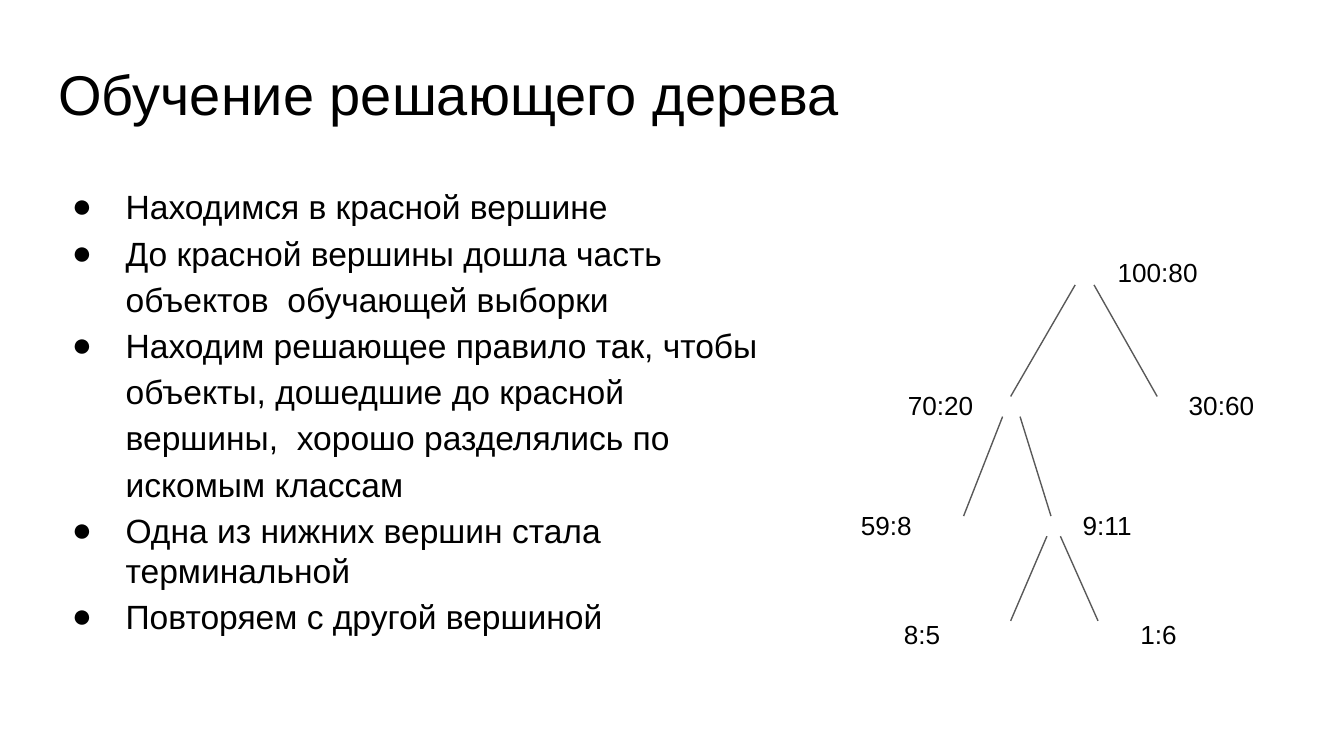
from lxml import etree
from pptx import Presentation
from pptx.dml.color import RGBColor
from pptx.enum.shapes import MSO_CONNECTOR
from pptx.oxml.ns import qn
from pptx.util import Pt

LINE = MSO_CONNECTOR.STRAIGHT
PX = 4572  # 200 px to the inch
THEME = {
    "font": "Arial",
    "ink": RGBColor(0x00, 0x00, 0x00),
    "edge": RGBColor(0x59, 0x59, 0x59),
    "title": Pt(30),
    "body": Pt(18),
    "label": Pt(14),
    "stroke": Pt(0.75),
}

deck = Presentation()
deck.slide_width, deck.slide_height = 2000 * PX, 1125 * PX
slide = deck.slides.add_slide(deck.slide_layouts[6])


def add_text(box, size, paras, top=4, right=0):
    """Add a text box; paras holds (text, left, bullet, format) rows."""
    frame = slide.shapes.add_textbox(*(n * PX for n in box)).text_frame
    look = {"word_wrap": True, "margin_left": 0, "margin_bottom": 0,
            "margin_top": top * PX, "margin_right": right * PX}
    for key, value in look.items():
        setattr(frame, key, value)
    for i, (text, left, bullet, form) in enumerate(paras):
        para = frame.add_paragraph() if i else frame.paragraphs[0]
        props = para._p.get_or_add_pPr()
        props.set("marL", str(left * PX))
        if bullet:
            props.set("indent", str(-80 * PX))
            face = etree.SubElement(props, qn("a:buFont"))
            face.set("typeface", THEME["font"])
            etree.SubElement(props, qn("a:buChar")).set("char", "●")
        for key, value in form.items():
            setattr(para, key, value)
        run = para.add_run()
        run.text = text
        run.font.name, run.font.size = THEME["font"], THEME[size]
        run.font.color.rgb = THEME["ink"]


add_text((84, 84, 1350, 106), "title",
         [("Обучение решающего дерева", 3, False, {})])

loose = {"line_spacing": 1.15}
apart = {"space_before": Pt(3.1)}
add_text((104, 266, 1048, 280), "body", [
    ("Находимся в красной вершине", 83, True, {}),
    ("До красной вершины дошла часть объектов  обучающей выборки",
     83, True, loose),
    ("Находим решающее правило так, чтобы", 83, True, apart),
], top=11)
add_text((104, 540, 1074, 280), "body", [
    ("объекты, дошедшие до красной вершины,  хорошо разделялись по "
     "искомым классам", 83, False, loose),
    ("Одна из нижних вершин стала терминальной", 83, True, apart),
    ("Повторяем с другой вершиной", 83, True, apart),
], top=3, right=40)

# Tree edges: parent end, child end
edges = [
    (1600, 424, 1504, 590), (1628, 424, 1722, 590),
    (1492, 620, 1434, 768), (1518, 620, 1564, 768),
    (1558, 798, 1504, 924), (1578, 798, 1634, 924),
]
for ends in edges:
    edge = slide.shapes.add_connector(LINE, *(n * PX for n in ends))
    edge.line.color.rgb = THEME["edge"]
    edge.line.width = THEME["stroke"]
    etree.SubElement(edge._element.spPr, qn("a:effectLst"))

# Class counts at each node: text, left, top, width
counts = [
    ("100:80", 1660, 377, 130),
    ("70:20", 1348, 575, 106), ("30:60", 1766, 575, 106),
    ("59:8", 1278, 754, 84), ("9:11", 1608, 754, 84),
    ("8:5", 1342, 916, 62), ("1:6", 1694, 916, 62),
]
for text, left, top, width in counts:
    add_text((left, top, width, 52), "label", [(text, 3, False, {})])

deck.save("out.pptx")
